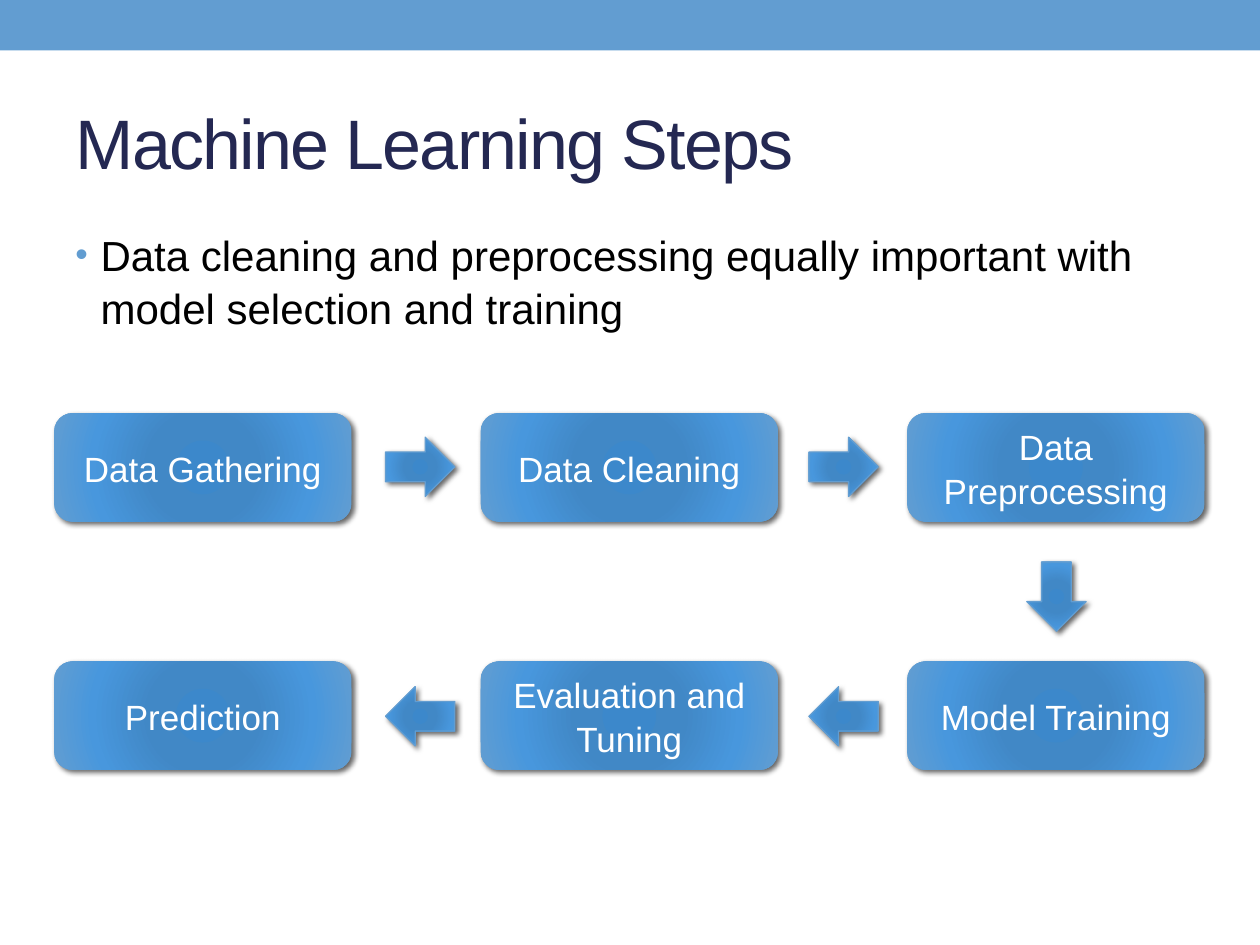
from lxml import etree
from pptx import Presentation
from pptx.dml.color import RGBColor
from pptx.enum.shapes import MSO_SHAPE
from pptx.enum.text import MSO_ANCHOR, PP_ALIGN
from pptx.oxml import parse_xml
from pptx.oxml.ns import nsdecls, qn
from pptx.util import Inches, Pt

RECT = MSO_SHAPE.RECTANGLE
STEP = MSO_SHAPE.FLOWCHART_ALTERNATE_PROCESS
DOWN = MSO_SHAPE.DOWN_ARROW
MIDDLE = MSO_ANCHOR.MIDDLE
LEFT, CENTER = PP_ALIGN.LEFT, PP_ALIGN.CENTER

BLUE = "629DD1"
STOPS = [(0, "3C88CB"), (34, "4188C6"), (70, "4897DD"), (100, BLUE)]


def style(frame, size, color, align):
    """Format the first paragraph of a text frame."""
    frame.word_wrap = True
    par = frame.paragraphs[0]
    par.alignment = align
    font = par.runs[0].font
    font.name, font.size = "Arial", Pt(size)
    font.color.rgb = RGBColor.from_string(color)
    return par


def add_glossy(kind, x, y, w, h):
    """Add a shape with a radial blue gradient and a soft shadow."""
    shape = slide.shapes.add_shape(kind, Inches(x), Inches(y), Inches(w), Inches(h))
    shape.fill.background()
    stops = "".join(
        f'<a:gs pos="{pos * 1000}"><a:srgbClr val="{color}"/></a:gs>'
        for pos, color in STOPS)
    props = shape.fill._xPr
    props.replace(props.find(qn("a:noFill")), parse_xml(
        f'<a:gradFill {nsdecls("a")} rotWithShape="1"><a:gsLst>{stops}</a:gsLst>'
        '<a:path path="circle"><a:fillToRect l="100000" t="100000" '
        'r="100000" b="100000"/></a:path></a:gradFill>'))
    shape.line.fill.background()
    shape.shadow.inherit = False
    props.find(qn("a:effectLst")).append(parse_xml(
        f'<a:outerShdw {nsdecls("a")} blurRad="{Pt(3)}" dist="{Pt(2)}" '
        'dir="2700000" rotWithShape="0"><a:srgbClr val="000000">'
        '<a:alpha val="60000"/></a:srgbClr></a:outerShdw>'))
    return shape


deck = Presentation()
deck.slide_width, deck.slide_height = Inches(10), Inches(7.5)
slide = deck.slides.add_slide(deck.slide_layouts[5])

# Top band
band = slide.shapes.add_shape(RECT, 0, 0, Inches(10), Inches(0.4))
band.fill.solid()
band.fill.fore_color.rgb = RGBColor.from_string(BLUE)
band.line.fill.background()
band.shadow.inherit = False

# Title
title = slide.shapes.title
title.left, title.top = Inches(0.5), Inches(0.58)
title.width, title.height = Inches(9), Inches(1.08)
title.text_frame.text = "Machine Learning Steps"
title.text_frame.vertical_anchor = MIDDLE
par = style(title.text_frame, 40, "242852", LEFT)
par.runs[0].font._element.set("spc", "-100")

# Bullet
body = slide.shapes.add_textbox(Inches(0.5), Inches(1.75), Inches(9), Inches(1.2))
body.text_frame.text = ("Data cleaning and preprocessing equally important "
                        "with model selection and training")
par = style(body.text_frame, 24, "000000", LEFT)
par.line_spacing = 1.05
props = par._p.get_or_add_pPr()
props.set("marL", str(Inches(0.2)))
props.set("indent", str(-Inches(0.2)))
color = etree.SubElement(props, qn("a:buClr"))
etree.SubElement(color, qn("a:srgbClr"), val=BLUE)
etree.SubElement(props, qn("a:buSzPct"), val="85000")
etree.SubElement(props, qn("a:buFont"), typeface="Arial")
etree.SubElement(props, qn("a:buChar"), char="•")

# Steps: the first row runs right, the second runs back left
rows = [
    (3.28, ["Data Gathering", "Data Cleaning", "Data Preprocessing"]),
    (5.25, ["Prediction", "Evaluation and Tuning", "Model Training"]),
]
for y, names in rows:
    for col, name in enumerate(names):
        box = add_glossy(STEP, 0.43 + 3.385 * col, y, 2.36, 0.86)
        box.text_frame.text = name
        box.text_frame.vertical_anchor = MIDDLE
        style(box.text_frame, 20, "FFFFFF", CENTER).line_spacing = 1.05

# Arrows between the steps: left, top, rotation
arrows = [(8.15, 4.46, 0)]
for y, turn in [(3.43, 270), (5.41, 90)]:
    arrows += [(x, y, turn) for x in (3.1, 6.46)]
for x, y, turn in arrows:
    arrow = add_glossy(DOWN, x, y, 0.47, 0.55)
    arrow.rotation = turn
    arrow.line.color.rgb = RGBColor.from_string(BLUE)
    arrow.line.width = Pt(0.75)

deck.save("out.pptx")
